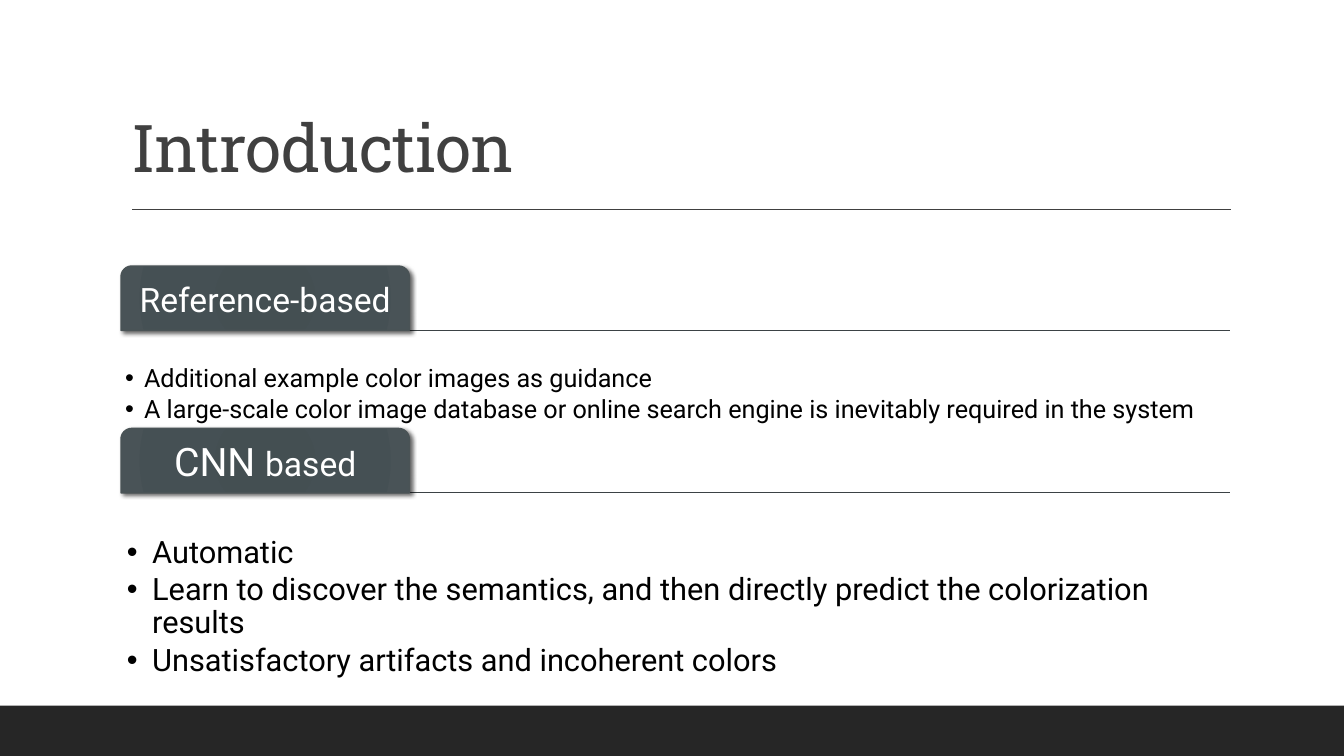
import pptx
import pptx.util
import pptx.oxml
import pptx.oxml.ns
import pptx.dml.color
import pptx.enum.shapes
import pptx.enum.text

Pt = pptx.util.Pt
Anchor = pptx.enum.text.MSO_ANCHOR
Align = pptx.enum.text.PP_ALIGN
Shape = pptx.enum.shapes.MSO_SHAPE
qn = pptx.oxml.ns.qn
colours = {"band": "262626", "title": "404040", "rule": "3B4245",
           "tab_line": "4A5356", "tab_text": "FFFFFF", "text": "000000"}
tab_stops = [(0, "434E52"), (34, "444F52"), (70, "455054"), (100, "495357")]
namespace = pptx.oxml.ns.nsdecls("a")


def add_span(para, text, size, font, colour):
    span = para.add_run()
    span.text = text
    span.font.size = Pt(size)
    span.font.name = font
    span.font.color.rgb = pptx.dml.color.RGBColor.from_string(colours[colour])
    return span


def add_rule(page, left, top, width, colour):
    rule = page.shapes.add_connector(
        pptx.enum.shapes.MSO_CONNECTOR.STRAIGHT, Pt(left), Pt(top), Pt(left + width), Pt(top))
    rule.line.color.rgb = pptx.dml.color.RGBColor.from_string(colours[colour])
    rule.line.width = Pt(1)
    rule._element.spPr.append(pptx.oxml.parse_xml(f"<a:effectLst {namespace}/>"))


deck = pptx.Presentation()
deck.slide_width, deck.slide_height = Pt(960), Pt(540)
page = deck.slides.add_slide(deck.slide_layouts[3])

band = page.shapes.add_shape(Shape.RECTANGLE, Pt(0), Pt(504), Pt(960), Pt(36))
band.shadow.inherit = False
band.fill.solid()
band.fill.fore_color.rgb = pptx.dml.color.RGBColor.from_string(colours["band"])
band.line.fill.background()

add_rule(page, 94.5, 149.5, 784.5, "title")

title = page.shapes.title
title.left, title.top, title.width, title.height = Pt(86.4), Pt(22.3), Pt(792), Pt(114.5)
title.text_frame.auto_size = pptx.enum.text.MSO_AUTO_SIZE.NONE
title.text_frame.vertical_anchor = Anchor.BOTTOM
para = title.text_frame.paragraphs[0]
para.alignment = Align.LEFT
para.line_spacing = 0.9
span = add_span(para, "Introduction", 47, "Roboto Slab", "title")
span._r.get_or_add_rPr().set("spc", "-50")

sections = [
    {"top": 190, "heading": [("Reference-based", 24)], "list_top": 258.1, "list_height": 46,
     "size": 18, "indent": 13.5, "inset": 3,
     "items": ["Additional example color images as guidance",
               "A large-scale color image database or online search engine is inevitably "
               "required in the system"]},
    {"top": 306, "heading": [("CNN ", 28), ("based", 24)], "list_top": 379, "list_height": 90,
     "size": 22, "indent": 18, "inset": 4.3,
     "items": ["Automatic",
               "Learn to discover the semantics, and then directly predict the colorization results",
               "Unsatisfactory artifacts and incoherent colors"]},
]

for number, section in enumerate(sections, start=1):
    add_rule(page, 86.4, section["top"] + 46, 792, "rule")

    tab = page.shapes.add_shape(
        Shape.ROUND_2_SAME_RECTANGLE, Pt(86.4), Pt(section["top"]), Pt(206), Pt(46))
    stops = "".join(f'<a:gs pos="{place * 1000}"><a:srgbClr val="{colour}"/></a:gs>'
                    for place, colour in tab_stops)
    tab._element.spPr.insert(2, pptx.oxml.parse_xml(
        f'<a:gradFill {namespace}><a:gsLst>{stops}</a:gsLst><a:path path="circle">'
        '<a:fillToRect l="100000" t="100000" r="100000" b="100000"/></a:path></a:gradFill>'))
    tab.line.color.rgb = pptx.dml.color.RGBColor.from_string(colours["tab_line"])
    tab.line.width = Pt(1)
    tab.shadow.inherit = False
    tab._element.spPr.find(qn("a:effectLst")).append(pptx.oxml.parse_xml(
        f'<a:outerShdw {namespace} blurRad="38100" dist="25400" dir="2700000">'
        '<a:srgbClr val="000000"><a:alpha val="60000"/></a:srgbClr></a:outerShdw>'))
    frame = tab.text_frame
    frame.vertical_anchor = Anchor.MIDDLE
    frame.margin_left = frame.margin_right = Pt(4)
    frame.margin_top, frame.margin_bottom = Pt(5), Pt(3)
    para = frame.paragraphs[0]
    para.alignment = Align.CENTER
    para.line_spacing = 0.9
    for text, size in section["heading"]:
        add_span(para, text, size, "Roboto", "tab_text")

    box = page.placeholders[number]
    box.left, box.top = Pt(86.4), Pt(section["list_top"])
    box.width, box.height = Pt(792), Pt(section["list_height"])
    frame = box.text_frame
    frame.auto_size = pptx.enum.text.MSO_AUTO_SIZE.NONE
    frame.vertical_anchor = Anchor.TOP
    frame.margin_left = frame.margin_right = Pt(section["inset"])
    frame.margin_top = frame.margin_bottom = Pt(section["inset"])
    for index, item in enumerate(section["items"]):
        para = frame.add_paragraph() if index else frame.paragraphs[0]
        properties = para._p.get_or_add_pPr()
        properties.set("marL", str(Pt(section["indent"])))
        properties.set("indent", str(-Pt(section["indent"])))
        properties.append(pptx.oxml.parse_xml(f'<a:buChar {namespace} char="•"/>'))
        para.line_spacing = 0.9
        para.space_before = Pt(0)
        para.space_after = Pt(3)
        add_span(para, item, section["size"], "Roboto", "text")

deck.save("out.pptx")
